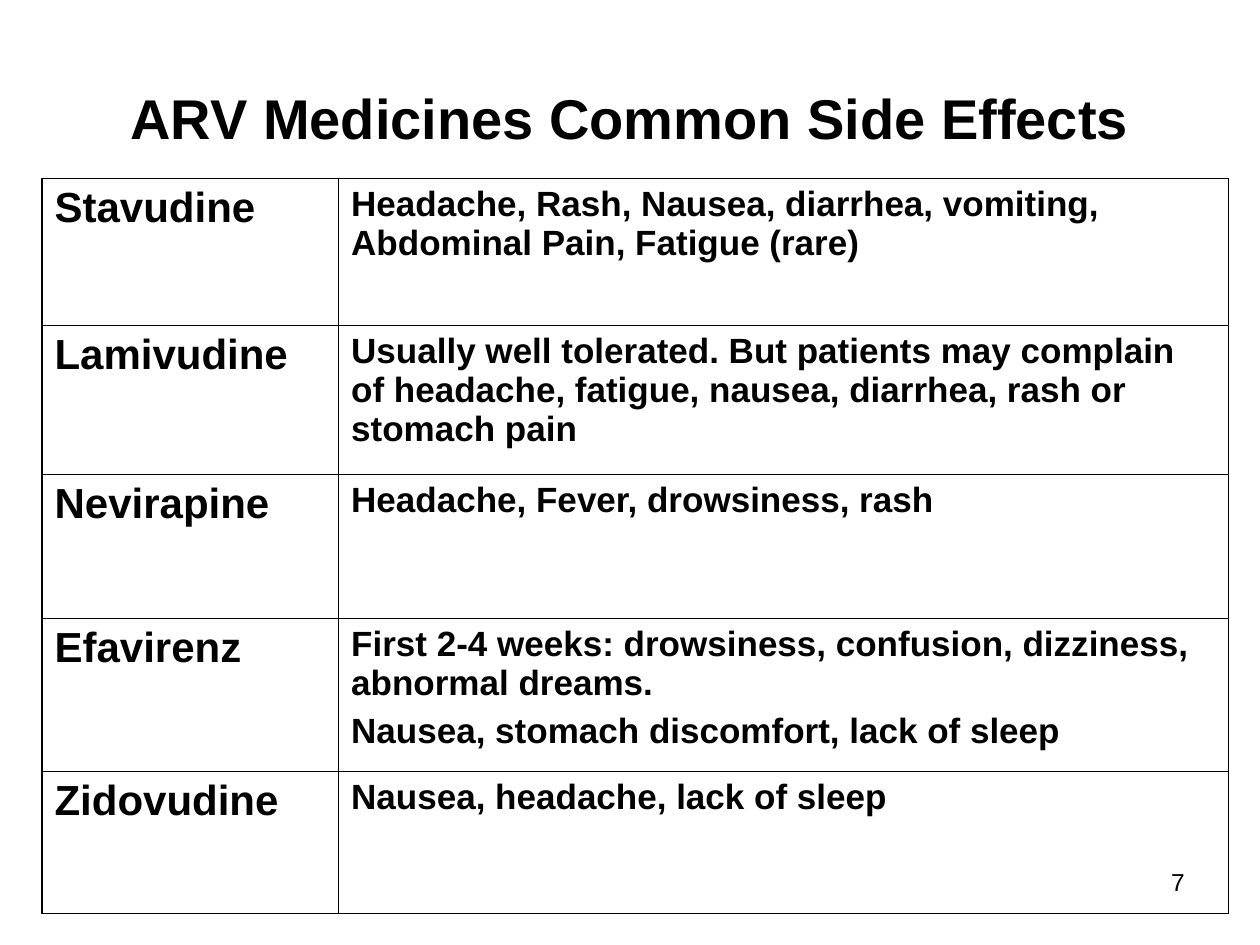
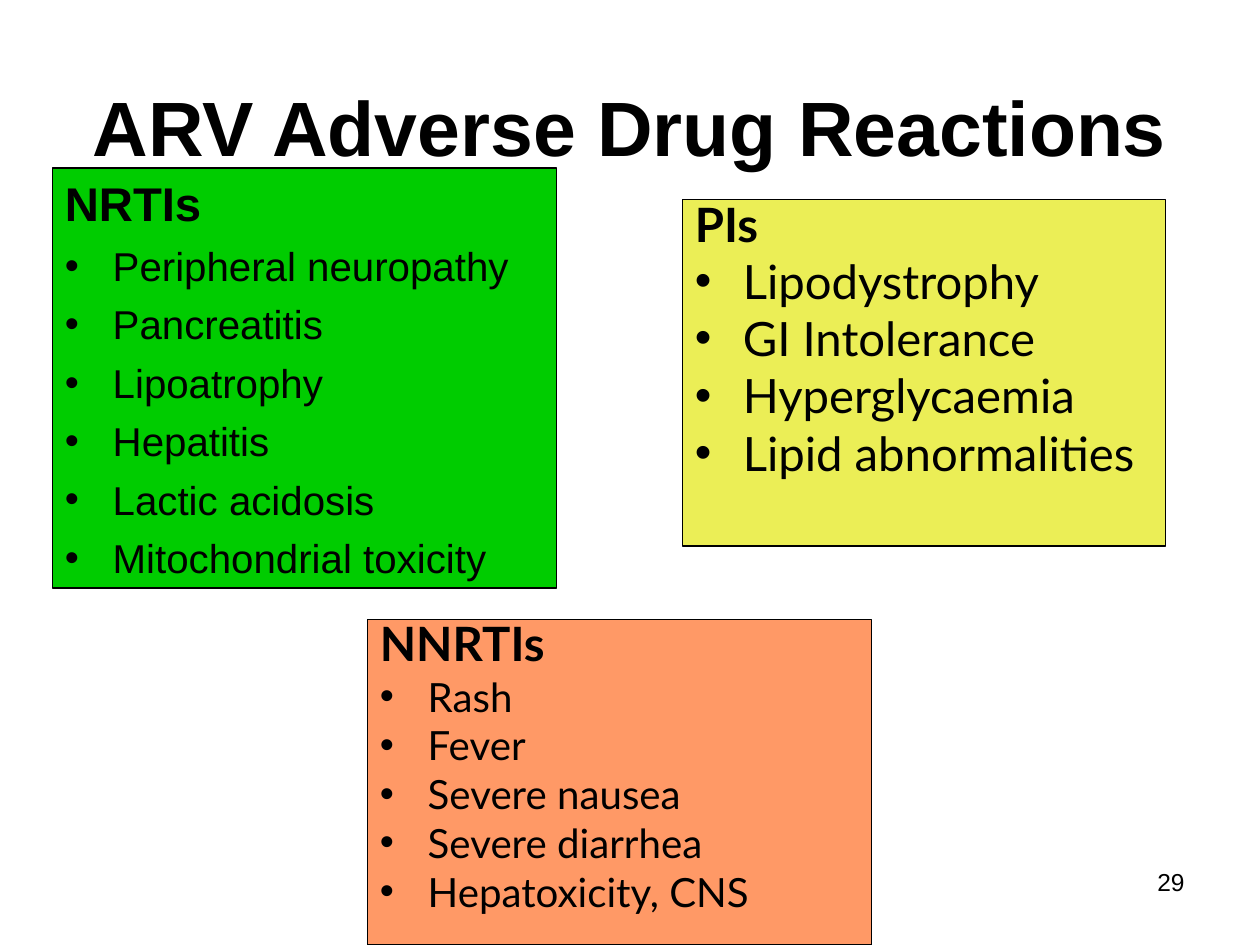
from lxml.etree import SubElement
from pptx import Presentation
from pptx.dml.color import RGBColor
from pptx.enum.shapes import MSO_SHAPE
from pptx.enum.text import MSO_ANCHOR, MSO_AUTO_SIZE, PP_ALIGN
from pptx.oxml import parse_xml
from pptx.oxml.ns import nsdecls, qn
from pptx.util import Inches, Pt

COLORS = {
    "ink": "000000",
    "paper": "FFFFFF",
    "green": "00CC00",
    "orange": "FF9966",
    "yellow": "EBEE56",
}
GRID_COLUMNS, GRID_ROWS = 120, 90
HANGING_INDENT = Inches(0.38)

presentation = Presentation()
presentation.slide_width = Inches(10)
presentation.slide_height = Inches(7.5)
column = presentation.slide_width / GRID_COLUMNS
row = presentation.slide_height / GRID_ROWS


def place(left, top, width, height):
    return [int(left * column), int(top * row), int(width * column), int(height * row)]


def write(text_frame, text, size, font="Arial", bold=False, align=PP_ALIGN.LEFT,
          before=0, line_spacing=None, hanging=False, bullet=False):
    paragraph = text_frame.paragraphs[0]
    if paragraph.runs:
        paragraph = text_frame.add_paragraph()
        paragraph.space_before = Pt(before)
    paragraph.alignment = align
    if line_spacing:
        paragraph.line_spacing = line_spacing
    if hanging:
        properties = paragraph._p.get_or_add_pPr()
        properties.set("marL", str(HANGING_INDENT))
        properties.set("indent", str(-HANGING_INDENT))
        if bullet:
            SubElement(properties, qn("a:buFont")).set("typeface", "Arial")
            SubElement(properties, qn("a:buChar")).set("char", "•")
    run = paragraph.add_run()
    run.text = text
    run.font.name = font
    run.font.size = Pt(size)
    run.font.bold = bold
    run.font.color.rgb = RGBColor.from_string(COLORS["ink"])


headings = [
    ("ARV Medicines Common Side Effects", 32, (6, 3.6, 108, 11.4)),
    ("ARV Adverse Drug Reactions", 44, (0, 0, 120, 17)),
]
slides = []
for heading, size, area in headings:
    slide = presentation.slides.add_slide(presentation.slide_layouts[5])
    slide.background.fill.solid()
    slide.background.fill.fore_color.rgb = RGBColor.from_string(COLORS["paper"])
    title = slide.shapes.title
    title.left, title.top, title.width, title.height = place(*area)
    title.text_frame.auto_size = MSO_AUTO_SIZE.NONE
    title.text_frame.vertical_anchor = MSO_ANCHOR.BOTTOM
    write(title.text_frame, heading, size, bold=True, align=PP_ALIGN.CENTER)
    slides.append(slide)
effects_slide, reactions_slide = slides

medicines = [
    ("Stavudine", ["Headache, Rash, Nausea, diarrhea, vomiting, Abdominal Pain, Fatigue (rare)"], 14),
    ("Lamivudine", ["Usually well tolerated. But patients may complain of headache, fatigue, "
                    "nausea, diarrhea, rash or stomach pain"], 14.2),
    ("Nevirapine", ["Headache, Fever, drowsiness, rash"], 13.7),
    ("Efavirenz", ["First 2-4 weeks: drowsiness, confusion, dizziness, abnormal dreams.",
                   "Nausea, stomach discomfort, lack of sleep"], 14.6),
    ("Zidovudine", ["Nausea, headache, lack of sleep"], 13.5),
]
table_height = sum(height for name, effects, height in medicines)
table = effects_slide.shapes.add_table(
    len(medicines), 2, *place(4, 17, 113, table_height)).table
table.first_row = False
table.horz_banding = False
for table_column, share in zip(table.columns, (0.25, 0.75)):
    table_column.width = int(113 * share * column)

for row_index, (name, effects, height) in enumerate(medicines):
    table.rows[row_index].height = int(height * row)
    for column_index, (lines, size) in enumerate([([name], 24), (effects, 20)]):
        cell = table.cell(row_index, column_index)
        cell.fill.background()
        for line in lines:
            write(cell.text_frame, line, size, bold=True, before=5)
        outer_edges = {
            "lnL": column_index == 0,
            "lnR": column_index == 1,
            "lnT": row_index == 0,
            "lnB": row_index == len(medicines) - 1,
        }
        for position, (edge, is_outer) in enumerate(outer_edges.items()):
            border = parse_xml(
                f'<a:{edge} {nsdecls("a")} w="{Pt(1.08 if is_outer else 0.45)}">'
                f'<a:solidFill><a:srgbClr val="{COLORS["ink"]}"/></a:solidFill></a:{edge}>')
            cell._tc.get_or_add_tcPr().insert(position, border)

drug_classes = [
    ("NRTIs", "green", (5, 16, 48, 40), "Arial", 23, 5.8, None,
     ["Peripheral neuropathy", "Pancreatitis", "Lipoatrophy", "Hepatitis",
      "Lactic acidosis", "Mitochondrial toxicity"]),
    ("NNRTIs", "orange", (35, 59, 48, 31), "Lato", 23, 5.8, 0.8,
     ["Rash", "Fever", "Severe nausea", "Severe diarrhea", "Hepatoxicity, CNS"]),
    ("PIs", "yellow", (65, 19, 46, 33), "Lato", 27, 6.8, 0.8,
     ["Lipodystrophy", "GI Intolerance", "Hyperglycaemia", "Lipid abnormalities"]),
]
for name, color, area, font, size, before, line_spacing, reactions in drug_classes:
    shape = reactions_slide.shapes.add_shape(MSO_SHAPE.RECTANGLE, *place(*area))
    shape.shadow.inherit = False
    shape.fill.solid()
    shape.fill.fore_color.rgb = RGBColor.from_string(COLORS[color])
    shape.line.color.rgb = RGBColor.from_string(COLORS["ink"])
    shape.line.width = Pt(0.75)
    text_frame = shape.text_frame
    text_frame.word_wrap = True
    text_frame.vertical_anchor = MSO_ANCHOR.TOP
    write(text_frame, name, 27, font=font, bold=True, line_spacing=line_spacing, hanging=True)
    for reaction in reactions:
        write(text_frame, reaction, size, font=font, before=before,
              line_spacing=line_spacing, hanging=True, bullet=True)

for slide, number in zip(slides, ("7", "29")):
    number_box = slide.shapes.add_textbox(*place(86, 82, 28, 6.25))
    number_box.text_frame.word_wrap = True
    write(number_box.text_frame, number, 14, align=PP_ALIGN.RIGHT)

presentation.save("out.pptx")
